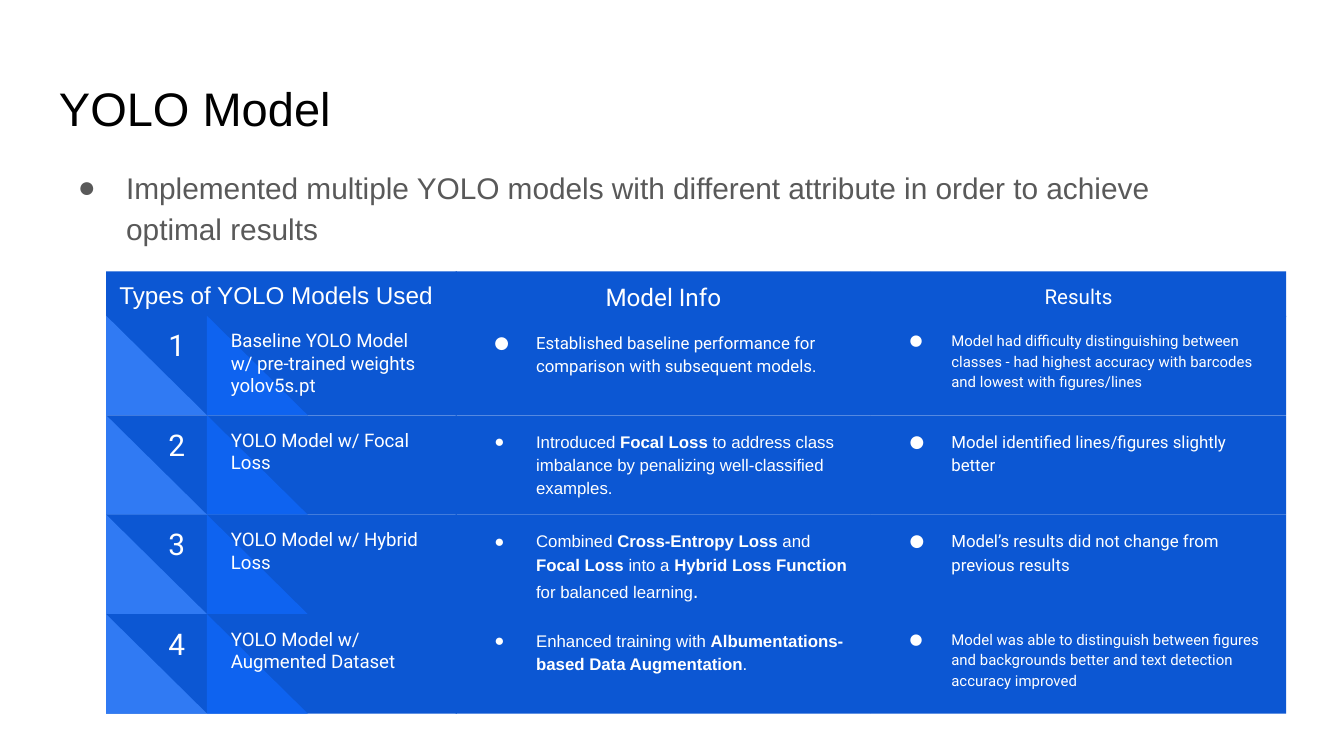
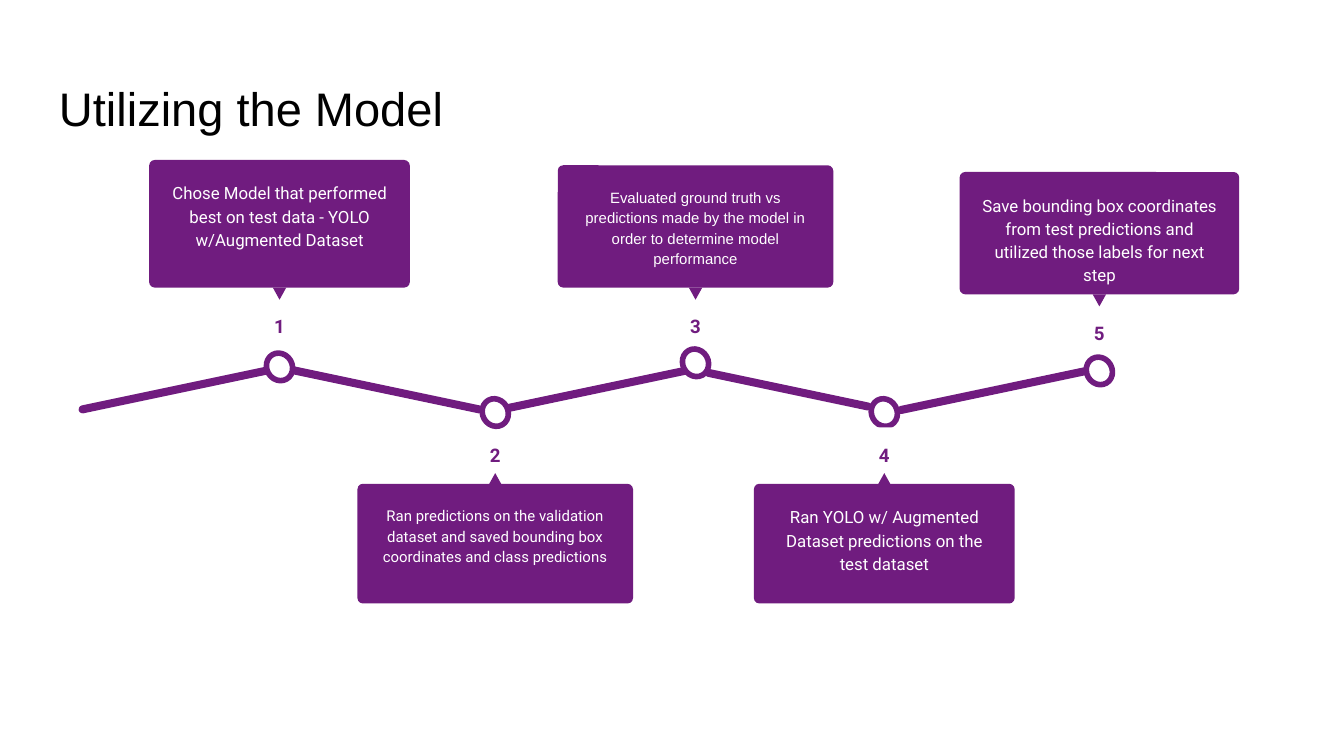
from lxml import etree
from pptx import Presentation
from pptx import util as u
from pptx.dml import color
from pptx.enum import shapes, text
from pptx.oxml import ns

COLORS = {
    "black": "000000",
    "white": "FFFFFF",
    "gray": "595959",
    "blue": "0C57D3",
    "bright_blue": "0E63F0",
    "light_blue": "307AF3",
    "purple": "701C7F",
}
SHAPE = shapes.MSO_SHAPE
ALIGN = text.PP_ALIGN
ANCHOR = text.MSO_ANCHOR

SLIDE_WIDTH = 10
SLIDE_HEIGHT = SLIDE_WIDTH * 9 / 16
HEADER_HEIGHT = 0.33
ROW_HEIGHT = 0.74
NAME_WIDTH = 2.6
CELL_WIDTH = 3.09
INFO_LEFT = NAME_WIDTH
RESULT_LEFT = INFO_LEFT + CELL_WIDTH
OVERLAP = 0.01
BAR_ANGLE = 11.9
CARD_INSET = 0.05

MODELS = [
    ("Baseline YOLO Model w/ pre-trained weights yolov5s.pt",
     "Roboto", ["Established baseline performance for comparison with subsequent models."],
     "Model had difficulty distinguishing between classes - had highest accuracy "
     "with barcodes and lowest with figures/lines", 8),
    ("YOLO Model w/ Focal Loss",
     "Arial", ["Introduced ", ("Focal Loss", {"bold": True}),
               " to address class imbalance by penalizing well-classified examples."],
     "Model identified lines/figures slightly better", 9),
    ("YOLO Model w/ Hybrid Loss",
     "Arial", ["Combined ", ("Cross-Entropy Loss", {"bold": True}), " and ",
               ("Focal Loss", {"bold": True}), " into a ",
               ("Hybrid Loss Function", {"bold": True}), " for balanced learning",
               (".", {"size": 11})],
     "Model’s results did not change from previous results", 9),
    ("YOLO Model w/ Augmented Dataset",
     "Arial", ["Enhanced training with ",
               ("Albumentations-based Data Augmentation", {"bold": True}), "."],
     "Model was able to distinguish between figures and backgrounds better and "
     "text detection accuracy improved", 8),
]

BARS = [(0.57, 1.48), (2.13, 1.48), (3.69, 1.48), (5.23, 1.27), (6.66, 1.52)]

STEPS = [
    ((1.11, 1.19, 1.94, 0.95), 2.73, None, "Roboto", 9,
     "Chose Model that performed best on test data - YOLO w/Augmented Dataset"),
    ((2.66, 3.6, 2.05, 0.89), 3.07, None, "Roboto", 8,
     "Ran predictions on the validation dataset and saved bounding box coordinates "
     "and class predictions"),
    ((4.15, 1.23, 2.05, 0.91), 2.7, None, "Arial", 8,
     "Evaluated ground truth vs predictions made by the model in order to determine "
     "model performance"),
    ((5.61, 3.6, 1.94, 0.89), 3.07, "white", "Roboto", 9,
     "Ran YOLO w/ Augmented Dataset predictions on the test dataset"),
    ((7.14, 1.28, 2.08, 0.91), 2.76, "white", "Roboto", 9,
     "Save bounding box coordinates from test predictions and utilized those labels "
     "for next step"),
]


def rgb(name):
    return color.RGBColor.from_string(COLORS[name])


def add_bullet(paragraph, tint, font, hanging):
    properties = paragraph._p.get_or_add_pPr()
    properties.set("marL", str(u.Inches(0.5)))
    properties.set("indent", str(-u.Inches(hanging)))
    bullet_color = etree.SubElement(properties, ns.qn("a:buClr"))
    etree.SubElement(bullet_color, ns.qn("a:srgbClr"), val=COLORS[tint])
    etree.SubElement(properties, ns.qn("a:buFont"), typeface=font)
    etree.SubElement(properties, ns.qn("a:buChar"), char="●")


def write_text(shape, content, *, size, font="Roboto", tint="white", bold=False,
               align=ALIGN.LEFT, anchor=ANCHOR.TOP, spacing=None, after=None, hanging=None):
    frame = shape.text_frame
    frame.word_wrap = True
    frame.vertical_anchor = anchor
    frame.margin_left = frame.margin_right = u.Inches(0.1)
    frame.margin_top = frame.margin_bottom = u.Inches(0.1)
    paragraph = frame.paragraphs[0]
    if hanging:
        add_bullet(paragraph, tint, font, hanging)
    paragraph.alignment = align
    if spacing:
        paragraph.line_spacing = spacing
    if after:
        paragraph.space_after = u.Pt(after)
    for piece in [content] if isinstance(content, str) else content:
        words, changes = (piece, {}) if isinstance(piece, str) else piece
        run = paragraph.add_run()
        run.text = words
        run.font.name = font
        run.font.size = u.Pt(changes.get("size", size))
        run.font.bold = changes.get("bold", bold)
        run.font.color.rgb = rgb(tint)


def add_text(slide, box, content, **style):
    write_text(slide.shapes.add_textbox(*map(u.Inches, box)), content, **style)


def add_block(slide, box, fill, kind=SHAPE.RECTANGLE, rotation=0, corner=None):
    shape = slide.shapes.add_shape(kind, *map(u.Inches, box))
    shape.shadow.inherit = False
    shape.fill.solid()
    shape.fill.fore_color.rgb = rgb(fill)
    shape.line.fill.background()
    shape.rotation = rotation
    if corner is not None:
        shape.adjustments[0] = corner
    return shape


def add_titled_slide(presentation, title):
    slide = presentation.slides.add_slide(presentation.slide_layouts[6])
    add_text(slide, (0.34, 0.49, 9.32, 0.63), title, size=25.2, font="Arial", tint="black")
    return slide


def add_header_row(slide, left, top):
    headers = [
        (0, NAME_WIDTH + OVERLAP, "Types of YOLO Models Used", {"size": 13, "font": "Arial"}),
        (INFO_LEFT, CELL_WIDTH, "Model Info",
         {"size": 13, "align": ALIGN.CENTER, "spacing": 1.15}),
        (RESULT_LEFT, CELL_WIDTH, "Results",
         {"size": 11, "align": ALIGN.CENTER, "spacing": 1.15}),
    ]
    for offset, width, label, style in headers:
        cell = add_block(slide, (left + offset, top, width, HEADER_HEIGHT + OVERLAP), "blue")
        write_text(cell, label, anchor=ANCHOR.MIDDLE, **style)


def add_model_row(slide, left, top, number, model):
    name, info_font, info, result, result_size = model
    add_block(slide, (left, top, NAME_WIDTH + OVERLAP, ROW_HEIGHT), "blue")
    for offset, fill in ((0.75, "bright_blue"), (0, "light_blue")):
        add_block(slide, (left + offset, top, 0.75, ROW_HEIGHT), fill, SHAPE.RIGHT_TRIANGLE)
    add_text(slide, (left + 0.29, top, 0.47, 0.45), str(number), size=16,
             align=ALIGN.CENTER, anchor=ANCHOR.BOTTOM)
    add_text(slide, (left + 0.83, top, 1.63, ROW_HEIGHT), name, size=10)
    cells = [(INFO_LEFT, info, info_font, 9), (RESULT_LEFT, result, "Roboto", result_size)]
    for offset, content, font, size in cells:
        cell = add_block(slide, (left + offset, top, CELL_WIDTH, ROW_HEIGHT), "blue")
        write_text(cell, content, font=font, size=size, spacing=1.15, hanging=0.31)


def add_step(slide, box, number, circle_y, label_fill, font, size, content):
    left, top, width, height = box
    center = left + width / 2
    above = top < circle_y
    pointer_top = top + height if above else top - 0.08
    label_top = top + height + 0.08 if above else top - 0.42

    circle = add_block(slide, (center - 0.095, circle_y - 0.105, 0.19, 0.21), "white",
                       SHAPE.OVAL, rotation=330.2)
    circle.line.color.rgb = rgb("purple")
    circle.line.width = u.Pt(3)

    label_box = (center - 0.4, label_top, 0.8, 0.35)
    style = {"align": ALIGN.CENTER, "spacing": 1.15, "after": 16}
    label_style = {"size": 10, "tint": "purple", "bold": True, **style}
    if label_fill:
        write_text(add_block(slide, label_box, label_fill), str(number), **label_style)
    else:
        add_text(slide, label_box, str(number), **label_style)

    add_block(slide, box, "purple", SHAPE.ROUNDED_RECTANGLE, corner=0.045)
    add_block(slide, (center - 0.05, pointer_top, 0.1, 0.09), "purple",
              SHAPE.ISOSCELES_TRIANGLE, rotation=180 if above else 0)
    card_box = (left + CARD_INSET, top + CARD_INSET,
                width - 2 * CARD_INSET, height - 2 * CARD_INSET)
    write_text(add_block(slide, card_box, "purple"), content, font=font, size=size, **style)


def build_models_slide(presentation):
    slide = add_titled_slide(presentation, "YOLO Model")
    add_text(slide, (0.34, 1.12, 8.82, 3.74),
             "Implemented multiple YOLO models with different attribute in order to "
             "achieve optimal results",
             size=16, font="Arial", tint="gray", spacing=1.15, hanging=0.36)
    left, top = 0.79, 2.02
    add_header_row(slide, left, top)
    for index, model in enumerate(MODELS):
        row_top = top + HEADER_HEIGHT + index * ROW_HEIGHT
        add_model_row(slide, left, row_top, index + 1, model)


def build_timeline_slide(presentation):
    slide = add_titled_slide(presentation, "Utilizing the Model")
    for index, (left, width) in enumerate(BARS):
        add_block(slide, (left, 2.87, width, 0.06), "purple", SHAPE.ROUNDED_RECTANGLE,
                  rotation=BAR_ANGLE if index % 2 else -BAR_ANGLE, corner=0.5)
    for number, (box, *details) in enumerate(STEPS, start=1):
        add_step(slide, box, number, *details)


def main():
    presentation = Presentation()
    presentation.slide_width = u.Inches(SLIDE_WIDTH)
    presentation.slide_height = u.Inches(SLIDE_HEIGHT)
    build_models_slide(presentation)
    build_timeline_slide(presentation)
    presentation.save("out.pptx")


if __name__ == "__main__":
    main()
